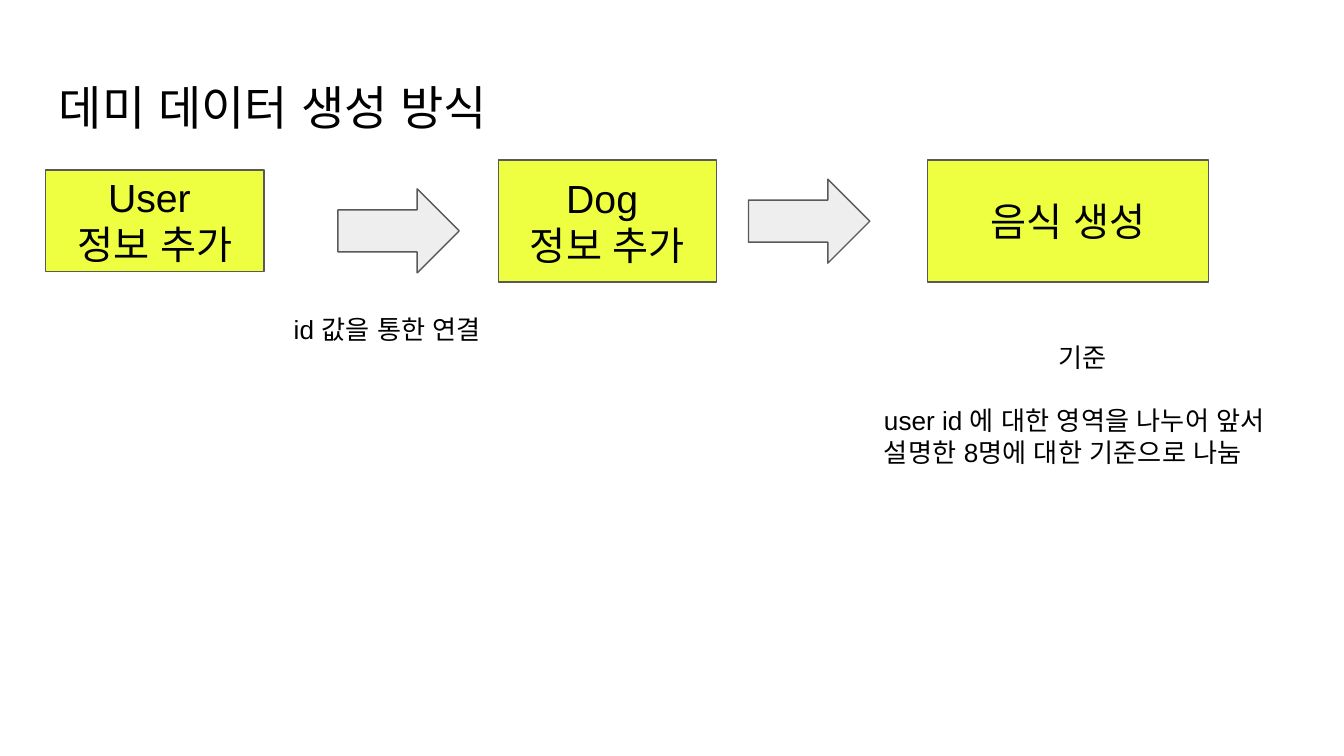
from lxml.etree import SubElement
from pptx import Presentation
from pptx.dml.color import RGBColor
from pptx.enum.shapes import MSO_SHAPE as Shape
from pptx.enum.text import MSO_ANCHOR as Anchor, PP_ALIGN as Align
from pptx.oxml.ns import qn
from pptx.util import Pt

COLORS = {"text": "000000", "step": "EEFF41", "arrow": "EEEEEE", "outline": "595959"}
FONT = "Arial"


def write(shape, lines, size, aligns, anchor=Anchor.TOP, gap=0):
    """Fill a shape with one paragraph per line, gap points apart."""
    frame = shape.text_frame
    frame.word_wrap = True
    frame.vertical_anchor = anchor
    frame.margin_left = frame.margin_right = Pt(7.2)
    frame.margin_top = frame.margin_bottom = Pt(7.2)
    for i, (line, align) in enumerate(zip(lines, aligns)):
        paragraph = frame.add_paragraph() if i else frame.paragraphs[0]
        paragraph.alignment = align
        paragraph.space_before = Pt(gap if i else 0)
        run = paragraph.add_run()
        run.text = line
        run.font.size = Pt(size)
        run.font.name = FONT
        run.font.color.rgb = RGBColor.from_string(COLORS["text"])
        SubElement(run.font._element, qn("a:ea"), typeface=FONT)


def add_block(kind, box, fill):
    block = slide.shapes.add_shape(kind, *map(Pt, box))
    block.shadow.inherit = False
    block.fill.solid()
    block.fill.fore_color.rgb = RGBColor.from_string(COLORS[fill])
    block.line.color.rgb = RGBColor.from_string(COLORS["outline"])
    block.line.width = Pt(0.75)
    return block


deck = Presentation()
deck.slide_width, deck.slide_height = Pt(720), Pt(405)
slide = deck.slides.add_slide(deck.slide_layouts[6])

title = slide.shapes.add_textbox(Pt(24.5), Pt(35), Pt(671), Pt(45))
write(title, ["데미 데이터 생성 방식"], 25.2, [Align.LEFT])

# Steps of the process
steps = [
    ((24.5, 91, 117, 54.5), ["User ", "정보 추가"]),
    ((267, 85.7, 117, 65.5), ["Dog ", "정보 추가"]),
    ((497, 85.7, 150.5, 65.5), ["음식 생성"]),
]
for box, lines in steps:
    step = add_block(Shape.RECTANGLE, box, "step")
    write(step, lines, 21, [Align.CENTER] * len(lines), Anchor.MIDDLE)

# Arrows between the steps
for left, top in [(181, 101.2), (401, 96)]:
    add_block(Shape.RIGHT_ARROW, (left, top, 65, 45), "arrow")

# Notes below
criteria = slide.shapes.add_textbox(Pt(466.5), Pt(175.7), Pt(227), Pt(82))
write(
    criteria,
    ["기준", "user id 에 대한 영역을 나누어 앞서 설명한 8명에 대한 기준으로 나눔"],
    14,
    [Align.CENTER, Align.LEFT],
    gap=17,
)
link = slide.shapes.add_textbox(Pt(150.3), Pt(160.7), Pt(117), Pt(32))
write(link, ["id 값을 통한 연결"], 14, [Align.LEFT])

deck.save("out.pptx")
